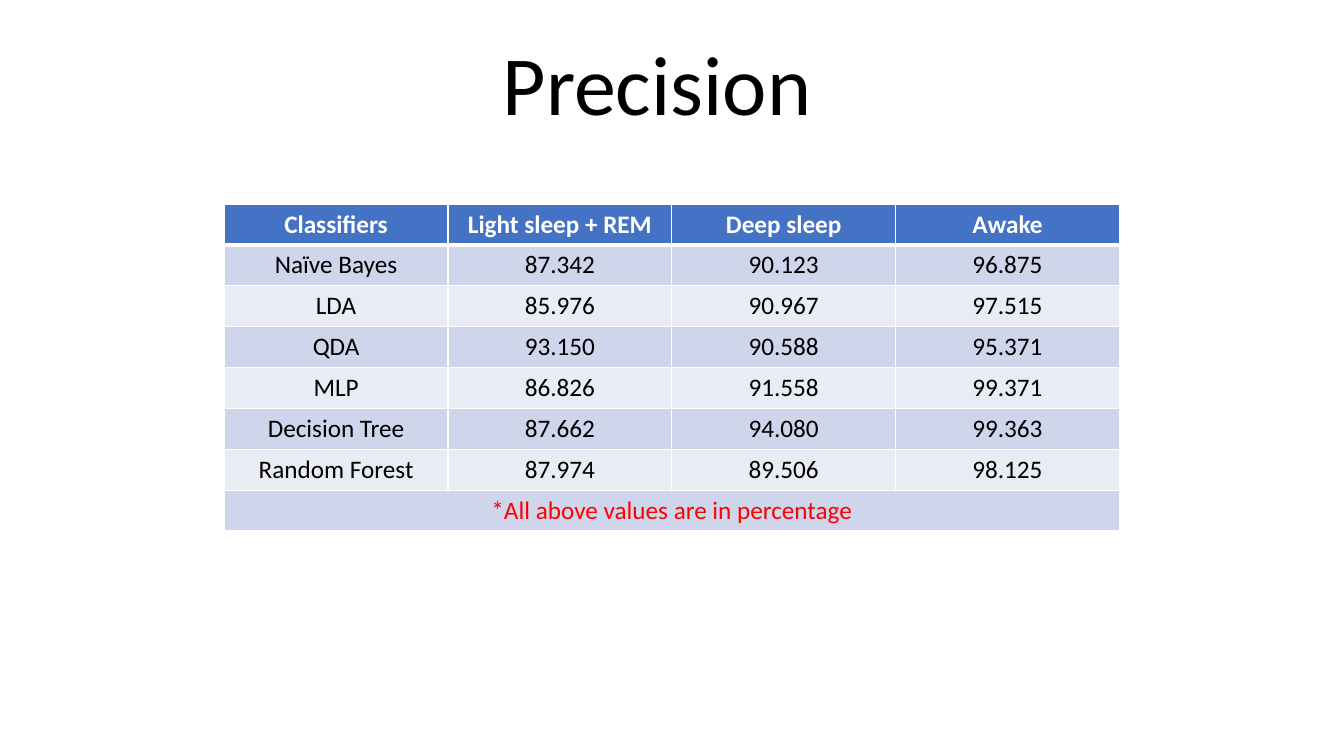
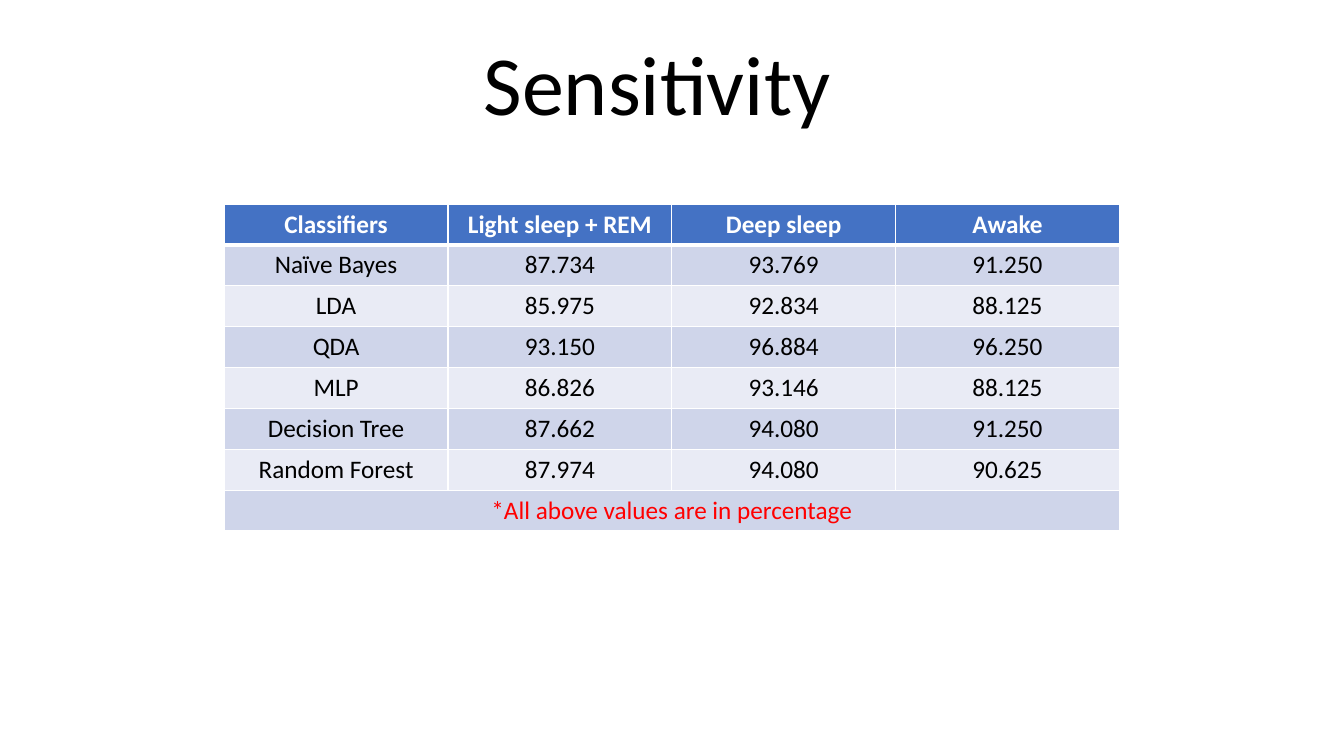
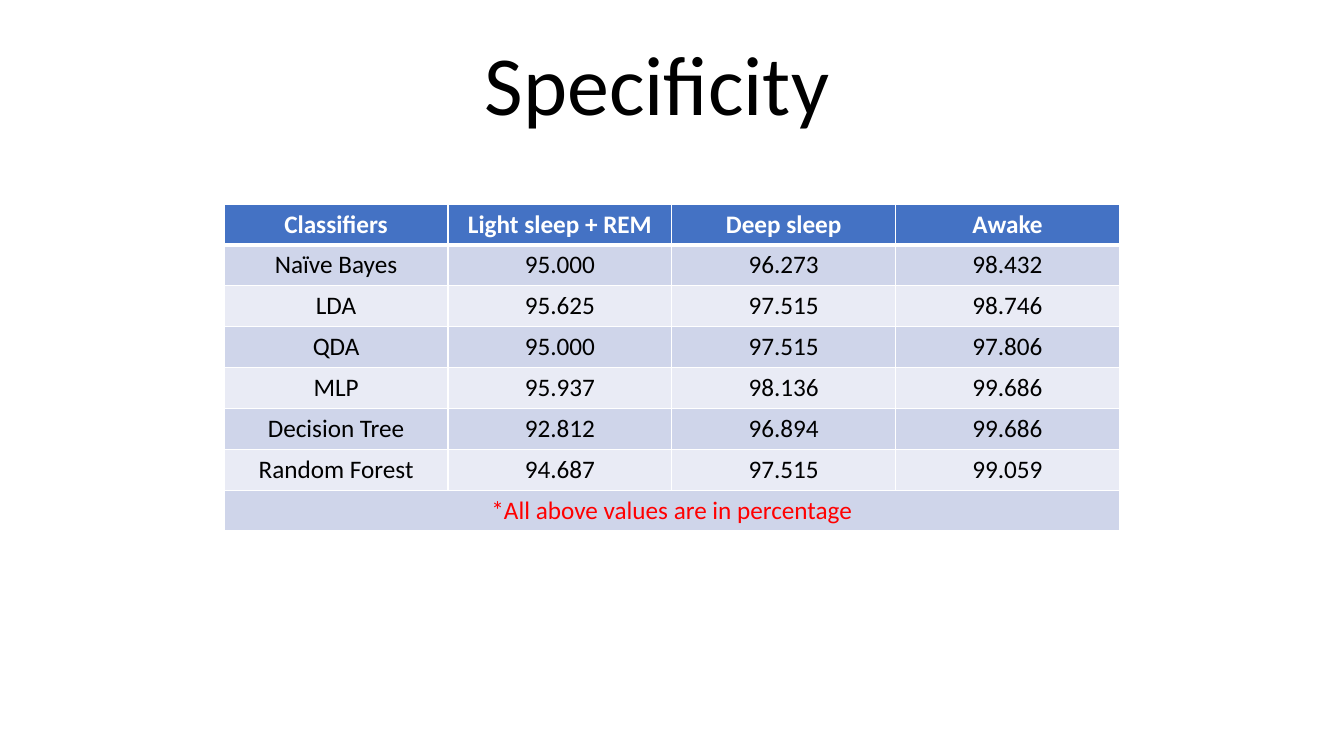
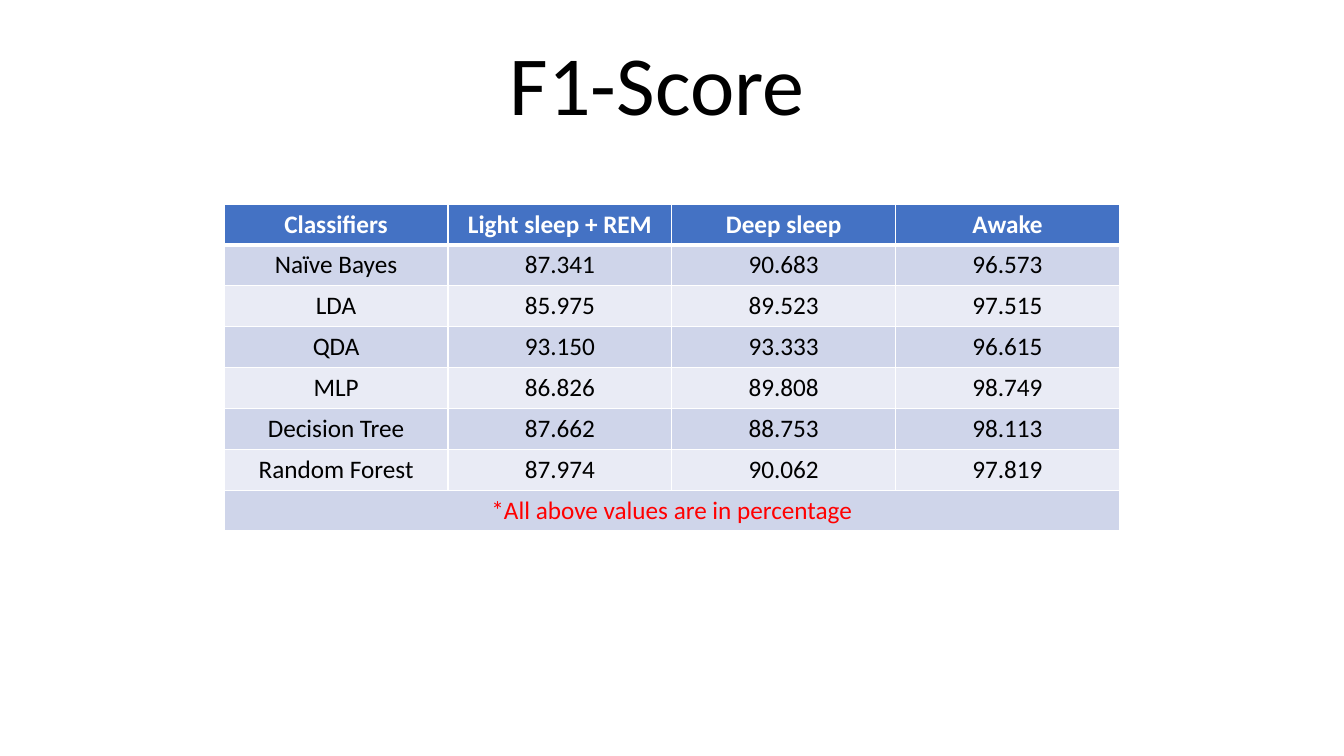
from dataclasses import dataclass

from lxml import etree
from pptx import Presentation, util as u
from pptx.dml.color import RGBColor
from pptx.enum import text
from pptx.oxml import ns

FONT = "Calibri"
BLACK, WHITE, RED = "000000", "FFFFFF", "FF0000"
HEADER_FILL = "4472C4"
BAND_FILLS = ("E9EBF5", "CFD5EA")
COL_W, ROW_H = u.Cm(5.64), u.Cm(1.03)
HEADERS = ("Classifiers", "Light sleep + REM", "Deep sleep", "Awake")
CLASSIFIERS = ("Naïve Bayes", "LDA", "QDA", "MLP", "Decision Tree", "Random Forest")
NOTE = "*All above values are in percentage"


@dataclass(frozen=True)
class Metric:
    title: str
    light: tuple[float, ...]
    deep: tuple[float, ...]
    awake: tuple[float, ...]


METRICS = (
    Metric(
        "Precision",
        (87.342, 85.976, 93.150, 86.826, 87.662, 87.974),
        (90.123, 90.967, 90.588, 91.558, 94.080, 89.506),
        (96.875, 97.515, 95.371, 99.371, 99.363, 98.125),
    ),
    Metric(
        "Sensitivity",
        (87.734, 85.975, 93.150, 86.826, 87.662, 87.974),
        (93.769, 92.834, 96.884, 93.146, 94.080, 94.080),
        (91.250, 88.125, 96.250, 88.125, 91.250, 90.625),
    ),
    Metric(
        "Specificity",
        (95.000, 95.625, 95.000, 95.937, 92.812, 94.687),
        (96.273, 97.515, 97.515, 98.136, 96.894, 97.515),
        (98.432, 98.746, 97.806, 99.686, 99.686, 99.059),
    ),
    Metric(
        "F1-Score",
        (87.341, 85.975, 93.150, 86.826, 87.662, 87.974),
        (90.683, 89.523, 93.333, 89.808, 88.753, 90.062),
        (96.573, 97.515, 96.615, 98.749, 98.113, 97.819),
    ),
)


def rgb(color: str) -> RGBColor:
    return RGBColor.from_string(color)


def write(tf, content: str, size: int, color: str, bold: bool = False) -> None:
    p = tf.paragraphs[0]
    p.text = content
    p.alignment = text.PP_ALIGN.CENTER
    p.font.name, p.font.size, p.font.bold = FONT, u.Pt(size), bold
    p.font.color.rgb = rgb(color)


def set_borders(cell, top: int, bottom: int) -> None:
    tc_pr = cell._tc.get_or_add_tcPr()
    for side, width in (("L", 1), ("R", 1), ("T", top), ("B", bottom)):
        ln = etree.SubElement(tc_pr, ns.qn(f"a:ln{side}"), w=str(u.Pt(width)))
        fill = etree.SubElement(ln, ns.qn("a:solidFill"))
        etree.SubElement(fill, ns.qn("a:srgbClr"), val=WHITE)


def add_title(s, title: str) -> None:
    sp = s.shapes.add_textbox(u.Cm(11.1), 0, u.Cm(10.92), u.Cm(4.44))
    tf = sp.text_frame
    tf.word_wrap = True
    tf.vertical_anchor = text.MSO_ANCHOR.MIDDLE
    write(tf, title, 60, BLACK)
    tf.paragraphs[0].line_spacing = 0.9


def add_scores(s, metric: Metric) -> None:
    scores = zip(CLASSIFIERS, metric.light, metric.deep, metric.awake)
    rows = [HEADERS]
    rows += [(name, *(f"{v:.3f}" for v in values)) for name, *values in scores]
    rows.append((NOTE, "", "", ""))
    last = len(rows) - 1
    table = s.shapes.add_table(
        len(rows), len(HEADERS), u.Cm(5.65), u.Cm(5.14),
        COL_W * len(HEADERS), ROW_H * len(rows),
    ).table
    for col in table.columns:
        col.width = COL_W
    for i, row in enumerate(rows):
        table.rows[i].height = ROW_H
        header = i == 0
        color = WHITE if header else RED if i == last else BLACK
        for j, content in enumerate(row):
            cell = table.cell(i, j)
            set_borders(cell, 3 if i == 1 else 1, 3 if header else 1)
            cell.fill.solid()
            cell.fill.fore_color.rgb = rgb(HEADER_FILL if header else BAND_FILLS[i % 2])
            if content:
                write(cell.text_frame, content, 18, color, header)
    table.cell(last, 0).merge(table.cell(last, len(HEADERS) - 1))


def main() -> None:
    prs = Presentation()
    prs.slide_width, prs.slide_height = u.Cm(33.87), u.Cm(19.05)
    for metric in METRICS:
        s = prs.slides.add_slide(prs.slide_layouts[6])
        add_title(s, metric.title)
        add_scores(s, metric)
    prs.save("out.pptx")


if __name__ == "__main__":
    main()
